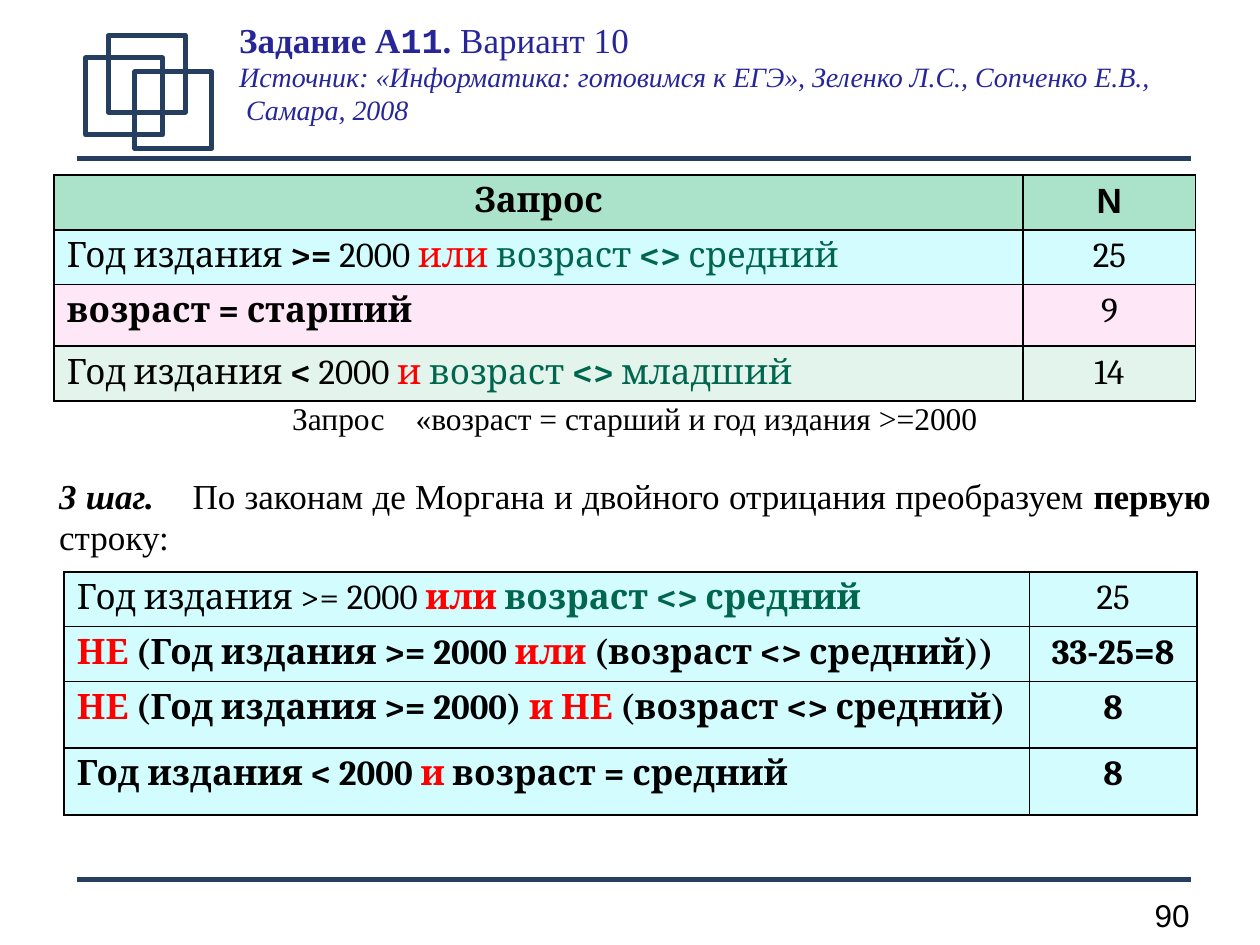
from dataclasses import dataclass
from typing import Any

from lxml import etree
from pptx import Presentation
from pptx import util as u
from pptx.dml import color
from pptx.enum import shapes, text
from pptx.oxml import ns

NAVY, BLUE, BLACK = "263E60", "262699", "000000"
RED, GREEN = "FF0000", "00664D"
MINT, AQUA, PINK, PALE = "AAE2CA", "D2FCFE", "FEE8F7", "E2F4EC"
SERIF, SANS, MONO, BOOK = "Times New Roman", "Arial", "Courier New", "Cambria"
LEFT, MID, RIGHT, FULL = (text.PP_ALIGN.LEFT, text.PP_ALIGN.CENTER,
                          text.PP_ALIGN.RIGHT, text.PP_ALIGN.JUSTIFY)


def rgb(code):
    return color.RGBColor.from_string(code)


def add(parent, tag, **attrs):
    return etree.SubElement(parent, ns.qn(tag), attrs)


def set_font(font, size=None, name=None, hue=None, bold=None, slant=None):
    if size:
        font.size = u.Pt(size)
    if name:
        font.name = name
    if hue:
        font.color.rgb = rgb(hue)
    if bold is not None:
        font.bold = bold
    if slant is not None:
        font.italic = slant


@dataclass
class Deck:
    """Holds the line style and the slide, and draws each kind of element."""
    slide: Any
    ink: str = NAVY
    weight: float = 2.83

    def stroke(self, line):
        line.color.rgb = rgb(self.ink)
        line.width = u.Pt(self.weight)

    def rule(self, left, right, top):
        line = self.slide.shapes.add_connector(
            shapes.MSO_CONNECTOR.STRAIGHT, u.Inches(left), u.Inches(top),
            u.Inches(right), u.Inches(top))
        self.stroke(line.line)
        add(line._element.spPr, "a:effectLst")

    def frame(self, left, top, side):
        box = self.slide.shapes.add_shape(
            shapes.MSO_SHAPE.ROUNDED_RECTANGLE, u.Inches(left), u.Inches(top),
            u.Inches(side), u.Inches(side))
        box.adjustments[0] = 0
        box.shadow.inherit = False
        box.fill.background()
        self.stroke(box.line)

    def fill_text(self, para, runs, align=LEFT, **base):
        para.alignment = align
        set_font(para.font, **base)
        for words, style in runs:
            run = para.add_run()
            run.text = words
            set_font(run.font, **style)

    def box(self, place, paras, pad=(0.1, 0.05), space=None, tab=None):
        area = self.slide.shapes.add_textbox(*map(u.Inches, place)).text_frame
        area.word_wrap = True
        area.margin_left = area.margin_right = u.Inches(pad[0])
        area.margin_top = area.margin_bottom = u.Inches(pad[1])
        for i, (runs, style, gap) in enumerate(paras):
            para = area.add_paragraph() if i else area.paragraphs[0]
            self.fill_text(para, runs, **style)
            para.space_before = u.Pt(gap)
            if space:
                para.line_spacing = space
            if tab:
                stops = etree.Element(ns.qn("a:tabLst"))
                add(stops, "a:tab", pos=str(u.Inches(tab)), algn="l")
                para._p.pPr.find(ns.qn("a:defRPr")).addprevious(stops)

    def edge(self, cell):
        props = cell._tc.get_or_add_tcPr()
        for i, side in enumerate(("a:lnL", "a:lnR", "a:lnT", "a:lnB")):
            line = etree.Element(ns.qn(side), w=str(u.Pt(1)))
            add(add(line, "a:solidFill"), "a:srgbClr", val=BLACK)
            props.insert(i, line)

    def table(self, left, top, cols, highs, rows):
        grid = self.slide.shapes.add_table(
            len(rows), len(cols), u.Inches(left), u.Inches(top),
            u.Inches(sum(cols)), u.Inches(sum(highs))).table
        grid.first_row = grid.horz_banding = False
        for col, wide in zip(grid.columns, cols):
            col.width = u.Inches(wide)
        for row, high, (fill, *cells) in zip(grid.rows, highs, rows):
            row.height = u.Inches(high)
            for cell, (runs, style) in zip(row.cells, cells):
                cell.fill.solid()
                cell.fill.fore_color.rgb = rgb(fill)
                self.edge(cell)
                look = dict(size=20, name=BOOK, hue=BLACK) | style
                self.fill_text(cell.text_frame.paragraphs[0], runs, **look)


def plain(words, **style):
    return [(words, {})], style


def mixed(*runs, **style):
    return list(runs), style


def main():
    show = Presentation()
    show.slide_width, show.slide_height = u.Inches(10), u.Inches(7.5)
    deck = Deck(show.slides.add_slide(show.slide_layouts[6]))

    for top in (6.98, 1.26):
        deck.rule(0.61, 9.45, top)
    for left, top in ((0.68, 0.46), (0.86, 0.28), (1.07, 0.57)):
        deck.frame(left, top, 0.61)
    deck.box((8.45, 7.06, 1.09, 0.4), [
        (*plain("90", align=RIGHT, size=18, name=SANS, hue=BLACK), 0)])

    bold, thin = dict(bold=True), dict(bold=False)
    red, green = dict(hue=RED), dict(hue=GREEN)
    mid = dict(align=MID)

    base = dict(name=SERIF, hue=BLACK)
    deck.box((0.47, 3.18, 9.14, 1.3), [
        (*plain("Запрос\t«возраст = старший и год издания >=2000",
                align=MID, size=18, **base), 0),
        (*mixed(("3 шаг.\t ", dict(bold=True, slant=True)),
                ("По законам де Моргана и двойного отрицания преобразуем ", {}),
                ("первую", bold), (" строку:", {}),
                align=FULL, size=20, **base), 22)],
        pad=(0, 0), space=0.98, tab=0.98)

    deck.table(0.43, 1.39, (7.69, 1.37), (0.43, 0.43, 0.49, 0.43), [
        (MINT, plain("Запрос", **mid, **bold),
         plain("N", name=SANS, **mid, **bold)),
        (AQUA, mixed(("Год издания ", {}), (">=", bold), (" 2000 ", {}),
                     ("или ", red), ("возраст ", green),
                     ("<> ", green | bold), ("средний", green)),
         plain("25", **mid)),
        (PINK, plain("возраст = старший", **bold), plain("9", **mid)),
        (PALE, mixed(("Год издания ", {}), ("< ", bold), ("2000 ", {}),
                     ("и ", red), ("возраст ", green),
                     ("<> ", green | bold), ("младший", green)),
         plain("14", **mid))])

    deck.table(0.51, 4.54, (7.66, 1.33), (0.43, 0.43, 0.53, 0.53), [
        (AQUA, mixed(("Год издания >= 2000 ", {}), ("или ", red | bold),
                     ("возраст <> средний", green | bold)),
         plain("25", **mid)),
        (AQUA, mixed(("НЕ ", red), ("(Год издания >= 2000 ", {}),
                     ("или ", red), ("(возраст <> средний))", {}), **bold),
         plain("33-25=8", **mid, **bold)),
        (AQUA, mixed(("НЕ ", red), ("(Год издания >= 2000) ", {}),
                     ("и НЕ ", red), ("(возраст <> средний)", {}), **bold),
         plain("8", **mid, **bold)),
        (AQUA, mixed(("Год издания < 2000 ", {}), ("и ", red),
                     ("возраст = средний", {}), **bold),
         plain("8", **mid, **bold))])

    head = dict(name=SERIF, hue=BLUE)
    note = dict(size=16, slant=True)
    deck.box((1.8, 0.16, 7.89, 1.09), [
        (*mixed(("Задание А", bold), ("11", dict(name=MONO, bold=True)),
                (".", bold), (" Вариант 10", thin), size=20, **head), 0),
        (*plain("Источник: «Информатика: готовимся к ЕГЭ», "
                "Зеленко Л.С., Сопченко Е.В.,", **note, **head), 0),
        (*plain(" Самара, 2008", **note, **head), 0)],
        pad=(0.1, 0), space=0.98)

    show.save("out.pptx")


if __name__ == "__main__":
    main()
